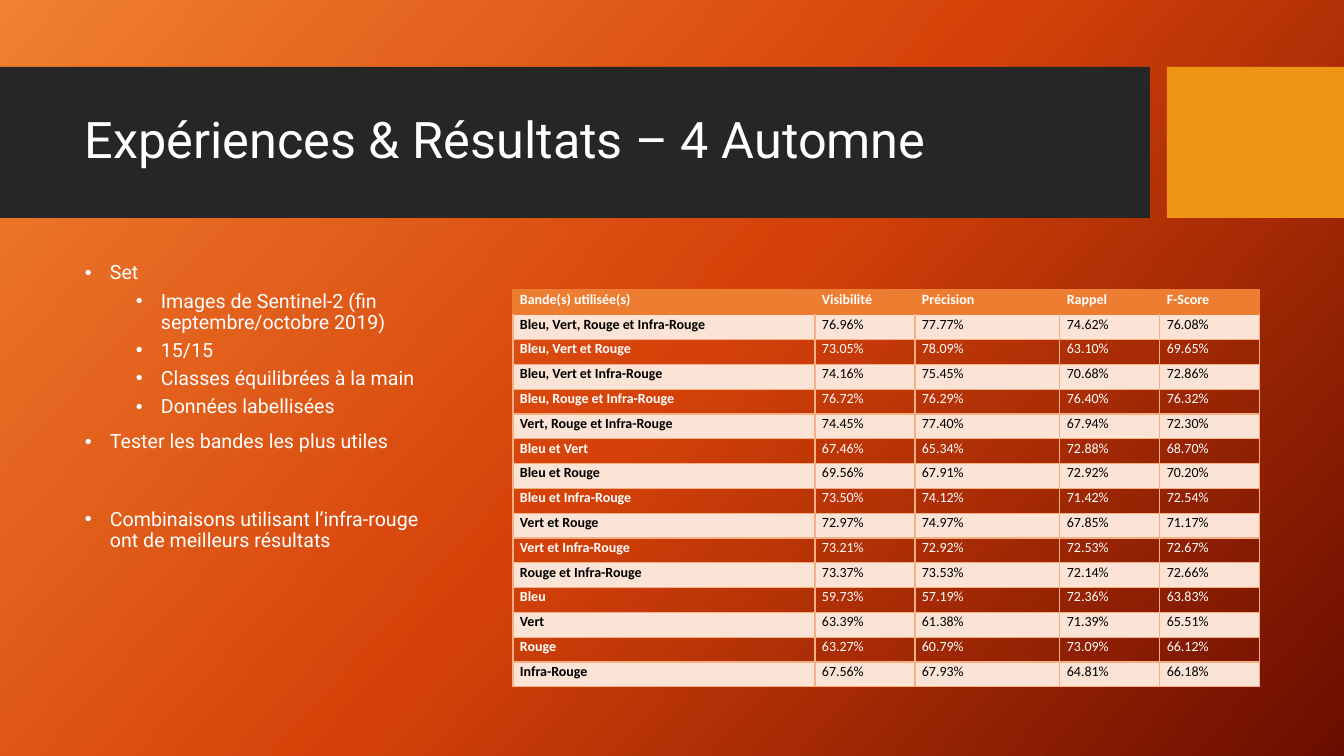
from copy import deepcopy

from lxml import etree
from pptx import Presentation
from pptx.dml.color import RGBColor
from pptx.enum.shapes import MSO_SHAPE
from pptx.enum.text import MSO_ANCHOR, PP_ALIGN
from pptx.oxml.ns import qn
from pptx.util import Pt

RECT = MSO_SHAPE.RECTANGLE
MIDDLE = MSO_ANCHOR.MIDDLE
JUSTIFY = PP_ALIGN.JUSTIFY

WHITE = RGBColor(0xFF, 0xFF, 0xFF)
BLACK = RGBColor(0x00, 0x00, 0x00)
CHARCOAL = RGBColor(0x26, 0x26, 0x26)
AMBER = RGBColor(0xF0, 0x94, 0x15)
HEADER = RGBColor(0xED, 0x7D, 0x31)
BAND = RGBColor(0xFB, 0xE4, 0xD5)
BORDER = RGBColor(0xF4, 0xB0, 0x83)
BACKGROUND = [(0, RGBColor(0xF1, 0x80, 0x31)),
              (0.5, RGBColor(0xD5, 0x42, 0x09)),
              (1, RGBColor(0x6A, 0x0D, 0x00))]

TITLE = "Expériences & Résultats – 4 Automne"
# Level, space before in points, text
BULLETS = [
    (0, 0, "Set"),
    (1, 5, "Images de Sentinel-2 (fin septembre/octobre 2019)"),
    (1, 5, "15/15"),
    (1, 5, "Classes équilibrées à la main"),
    (1, 5, "Données labellisées"),
    (0, 10, "Tester les bandes les plus utiles"),
    (0, 40, "Combinaisons utilisant l’infra-rouge ont de meilleurs résultats"),
]
COLUMNS = [302, 100, 145, 100, 100]
ROWS = [
    ("Bande(s) utilisée(s)", "Visibilité", "Précision", "Rappel", "F-Score"),
    ("Bleu, Vert, Rouge et Infra-Rouge", "76.96%", "77.77%", "74.62%", "76.08%"),
    ("Bleu, Vert et Rouge", "73.05%", "78.09%", "63.10%", "69.65%"),
    ("Bleu, Vert et Infra-Rouge", "74.16%", "75.45%", "70.68%", "72.86%"),
    ("Bleu, Rouge et Infra-Rouge", "76.72%", "76.29%", "76.40%", "76.32%"),
    ("Vert, Rouge et Infra-Rouge", "74.45%", "77.40%", "67.94%", "72.30%"),
    ("Bleu et Vert", "67.46%", "65.34%", "72.88%", "68.70%"),
    ("Bleu et Rouge", "69.56%", "67.91%", "72.92%", "70.20%"),
    ("Bleu et Infra-Rouge", "73.50%", "74.12%", "71.42%", "72.54%"),
    ("Vert et Rouge", "72.97%", "74.97%", "67.85%", "71.17%"),
    ("Vert et Infra-Rouge", "73.21%", "72.92%", "72.53%", "72.67%"),
    ("Rouge et Infra-Rouge", "73.37%", "73.53%", "72.14%", "72.66%"),
    ("Bleu", "59.73%", "57.19%", "72.36%", "63.83%"),
    ("Vert", "63.39%", "61.38%", "71.39%", "65.51%"),
    ("Rouge", "63.27%", "60.79%", "73.09%", "66.12%"),
    ("Infra-Rouge", "67.56%", "67.93%", "64.81%", "66.18%"),
]
NO_STYLE = "{2D5ABB26-0587-4C30-8999-92F81FD0307C}"


def px(n):
    return round(n * 914400 / 100.8)


def add_run(p, text, font, size, color, bold=False):
    r = p.add_run()
    r.text = text
    r.font.name = font
    r.font.size = Pt(size)
    r.font.color.rgb = color
    r.font.bold = bold


def add_text_box(s, x, y, w, h):
    tf = s.shapes.add_textbox(px(x), px(y), px(w), px(h)).text_frame
    tf.word_wrap = True
    return tf


def add_background(s):
    fill = s.background.fill
    fill.gradient()
    fill.gradient_angle = 318
    stops = s.element.find(".//" + qn("a:gsLst"))
    stops.append(deepcopy(stops[-1]))
    for stop, (position, color) in zip(fill.gradient_stops, BACKGROUND):
        stop.position = position
        stop.color.rgb = color


def add_title_band(s, x, y, w, h):
    # Dark band and amber block, separated by a gap
    band, gap = 1150, 17
    block = band + gap
    for left, width, color in ((0, band, CHARCOAL), (block, w - block, AMBER)):
        sp = s.shapes.add_shape(RECT, px(x + left), px(y), px(width), px(h))
        sp.shadow.inherit = False
        sp.fill.solid()
        sp.fill.fore_color.rgb = color
        sp.line.fill.background()

    # Title
    tf = add_text_box(s, x + 75, y + 16, 1059, 119)
    tf.vertical_anchor = MIDDLE
    p = tf.paragraphs[0]
    p.line_spacing = 0.9
    add_run(p, TITLE, "Roboto", 36, WHITE)


def add_bullets(s, x, y, w, h):
    tf = add_text_box(s, x, y, w, h)
    for i, (level, before, text) in enumerate(BULLETS):
        p = tf.add_paragraph() if i else tf.paragraphs[0]
        pPr = p._p.get_or_add_pPr()
        pPr.set("marL", str(px(25 + 51 * level)))
        pPr.set("indent", str(-px(25)))
        etree.SubElement(pPr, qn("a:buFont")).set("typeface", "Arial")
        etree.SubElement(pPr, qn("a:buChar")).set("char", "•")
        p.level = level
        p.line_spacing = 0.9
        p.space_before = Pt(before)
        add_run(p, text, "Roboto", 14, WHITE)


def set_borders(cell, color, top):
    tcPr = cell._tc.get_or_add_tcPr()
    for side, c in (("L", color), ("R", color), ("T", top), ("B", color)):
        ln = etree.SubElement(tcPr, qn("a:ln" + side), w=str(Pt(1)))
        solid = etree.SubElement(ln, qn("a:solidFill"))
        etree.SubElement(solid, qn("a:srgbClr"), val=str(c))


def add_results(s, x, y, w, h):
    frame = s.shapes.add_table(len(ROWS), len(COLUMNS), px(x), px(y), px(w), px(h))
    frame._element.find(".//" + qn("a:tableStyleId")).text = NO_STYLE
    table = frame.table
    table.horz_banding = False
    for column, width in zip(table.columns, COLUMNS):
        column.width = px(width)

    for i, values in enumerate(ROWS):
        table.rows[i].height = px(h / len(ROWS))
        fill = HEADER if i == 0 else BAND if i % 2 else None
        color = BLACK if i % 2 else WHITE
        for j, value in enumerate(values):
            cell = table.cell(i, j)
            cell.margin_left = cell.margin_right = px(7)
            cell.margin_top, cell.margin_bottom = px(1), 0
            set_borders(cell, BORDER if i else HEADER, BORDER if i > 1 else HEADER)
            if fill:
                cell.fill.solid()
                cell.fill.fore_color.rgb = fill
            else:
                cell.fill.background()
            p = cell.text_frame.paragraphs[0]
            p.alignment = JUSTIFY
            p.space_after = Pt(6)
            add_run(p, value, "Calibri", 10, color, bold=i == 0 or j == 0)


def main():
    prs = Presentation()
    prs.slide_width, prs.slide_height = px(1344), px(756)
    s = prs.slides.add_slide(prs.slide_layouts[6])
    add_background(s)
    add_title_band(s, 0, 67, 1344, 151)
    add_bullets(s, 75, 258, 385, 397)
    add_results(s, 513, 290, sum(COLUMNS), 397)
    prs.save("out.pptx")


if __name__ == "__main__":
    main()
